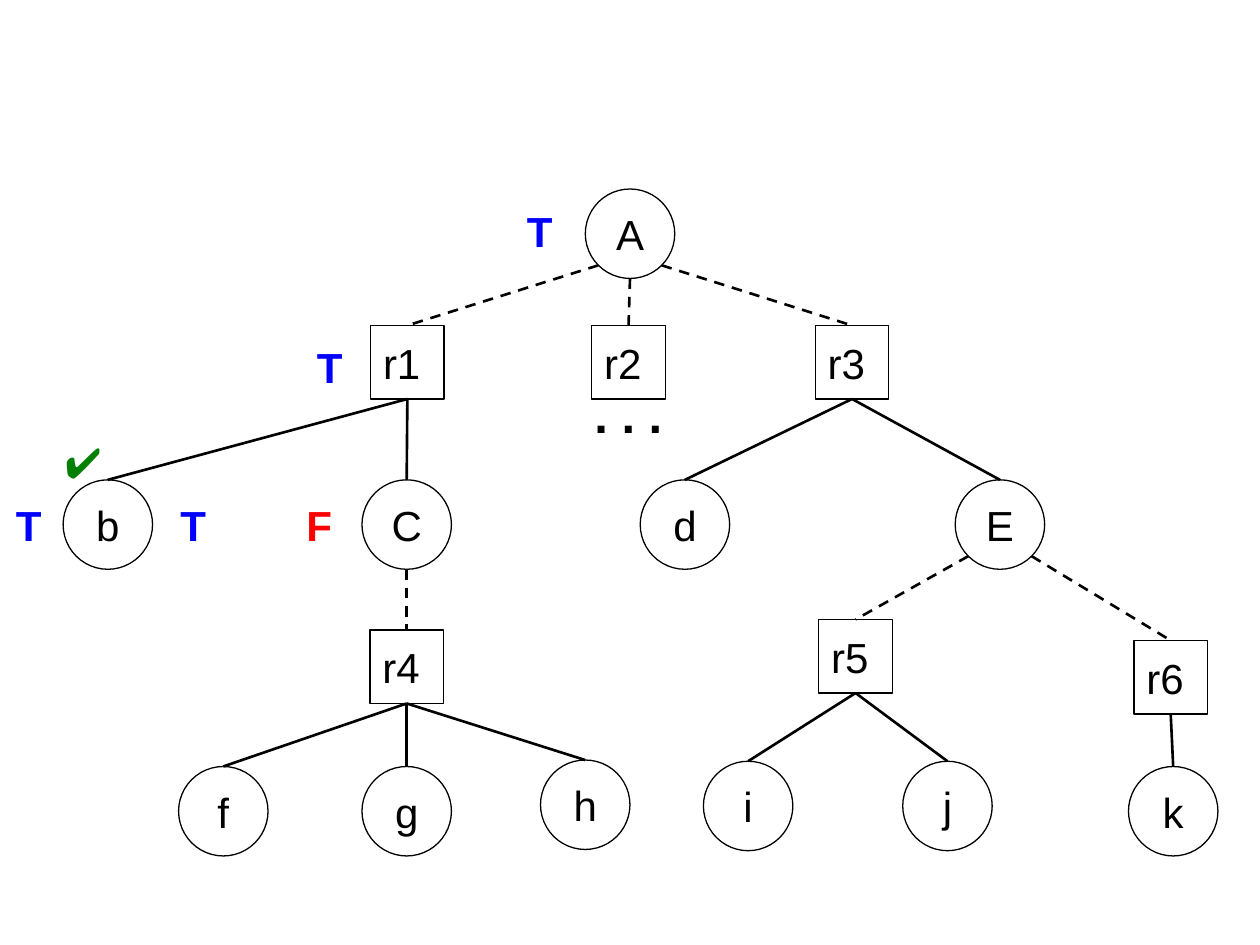
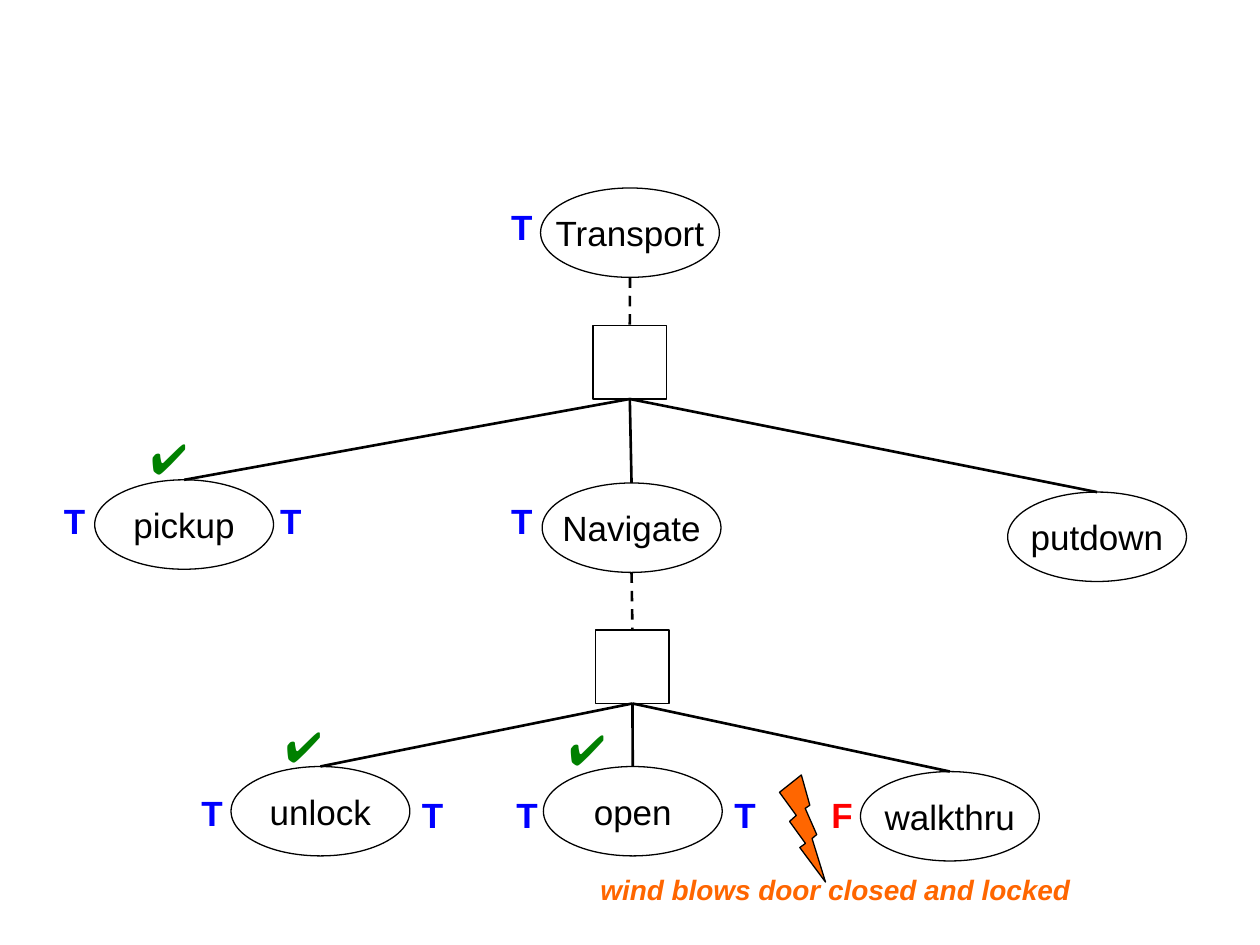
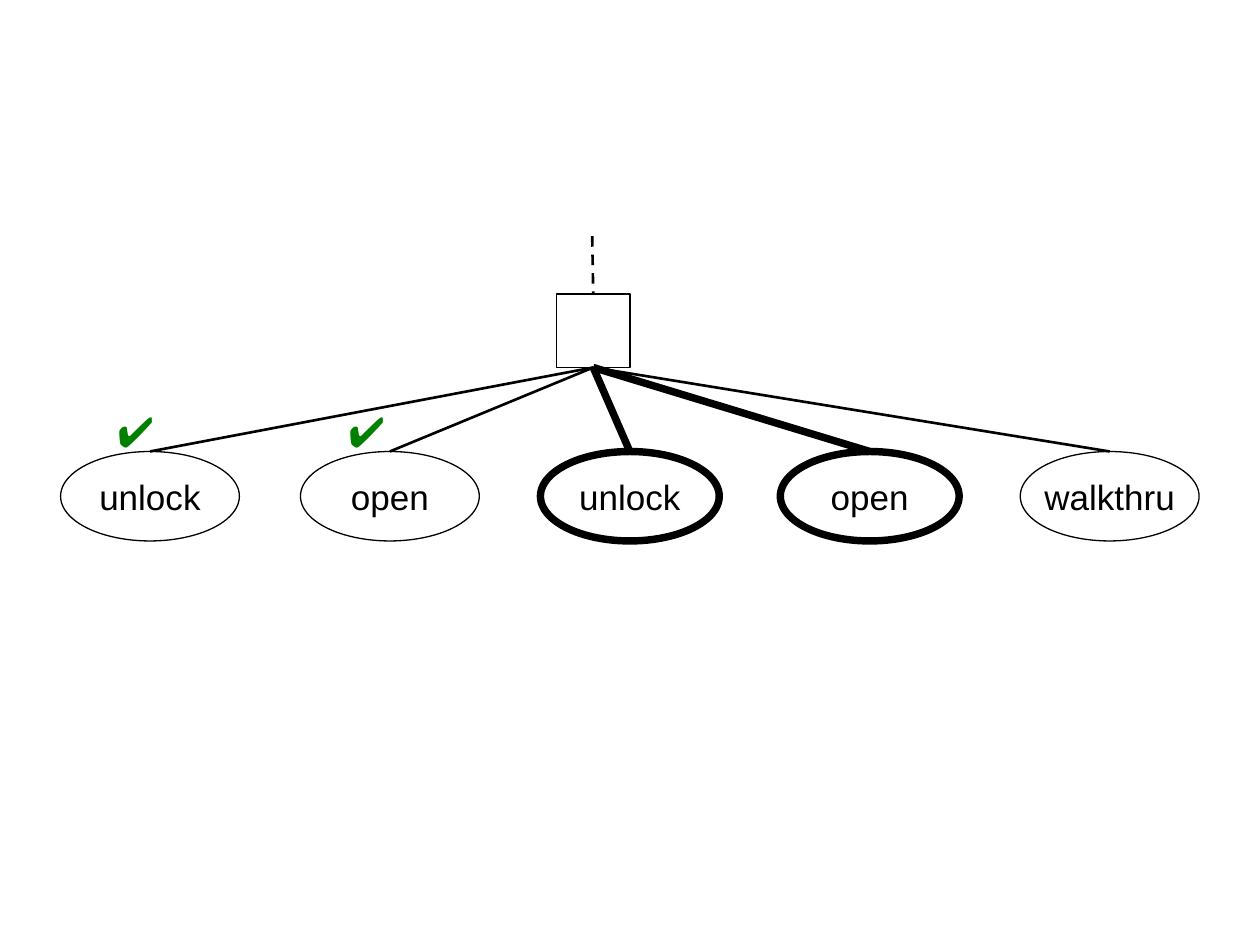
import math
from dataclasses import dataclass

import pptx
import pptx.dml.color
import pptx.enum.dml
import pptx.enum.shapes
import pptx.enum.text
import pptx.oxml
import pptx.shapes.autoshape
import pptx.slide
import pptx.util

Pt = pptx.util.Pt
RGB = pptx.dml.color.RGBColor
SHAPE = pptx.enum.shapes.MSO_SHAPE
ALIGN = pptx.enum.text.PP_ALIGN


# Shared look
@dataclass(frozen=True)
class Theme:
    font: str = "Arial"
    ink: RGB = RGB(0, 0, 0)
    true: RGB = RGB(0, 0, 255)
    false: RGB = RGB(255, 0, 0)
    done: RGB = RGB(0, 128, 0)
    event: RGB = RGB(255, 102, 0)
    large: float = 24
    medium: float = 20
    small: float = 16
    dots: float = 28
    outline: float = 0.75
    link: float = 1.5
    heavy: float = 4.25


THEME = Theme()
MARK_COLORS = {"T": THEME.true, "F": THEME.false, "✔": THEME.done}


@dataclass(frozen=True)
class Kind:
    shape: SHAPE
    width: float
    height: float
    align: ALIGN
    size: float


GOAL = Kind(SHAPE.OVAL, 51.1, 51.1, ALIGN.CENTER, THEME.large)
TASK = Kind(SHAPE.OVAL, 102.2, 51.1, ALIGN.CENTER, THEME.medium)
RULE = Kind(SHAPE.RECTANGLE, 42, 42, ALIGN.LEFT, THEME.large)


@dataclass(frozen=True)
class Node:
    kind: Kind
    center: float
    top: float
    text: str = ""
    heavy: bool = False


@dataclass(frozen=True)
class Mark:
    text: str
    left: float
    top: float


@dataclass(frozen=True)
class Tree:
    nodes: dict[str, Node]
    children: dict[str, list[str]]
    marks: list[Mark]
    mark_size: float = THEME.medium


# Drawing functions
def write(sp: pptx.shapes.autoshape.Shape, text: str, size: float, color: RGB,
          align: ALIGN = ALIGN.LEFT, bold: bool = False, italic: bool = False) -> None:
    p = sp.text_frame.paragraphs[0]
    p.text = text
    p.alignment = align
    p.font.name, p.font.size = THEME.font, Pt(size)
    p.font.bold, p.font.italic = bold, italic
    p.font.color.rgb = color


def add_label(slide: pptx.slide.Slide, text: str, left: float, top: float, width: float,
              height: float, size: float, color: RGB, bold: bool = True,
              italic: bool = False) -> None:
    sp = slide.shapes.add_textbox(Pt(left), Pt(top), Pt(width), Pt(height))
    sp.text_frame.word_wrap = True
    write(sp, text, size, color, bold=bold, italic=italic)


def add_outlined(slide: pptx.slide.Slide, shape: SHAPE, left: float, top: float,
                 width: float, height: float,
                 weight: float = THEME.outline) -> pptx.shapes.autoshape.Shape:
    sp = slide.shapes.add_shape(shape, Pt(left), Pt(top), Pt(width), Pt(height))
    sp.shadow.inherit = False
    sp.fill.background()
    sp.line.color.rgb = THEME.ink
    sp.line.width = Pt(weight)
    return sp


def add_node(slide: pptx.slide.Slide, node: Node) -> pptx.shapes.autoshape.Shape:
    kind = node.kind
    sp = add_outlined(slide, kind.shape, node.center - kind.width / 2, node.top, kind.width,
                      kind.height, THEME.heavy if node.heavy else THEME.outline)
    if node.text:
        tf = sp.text_frame
        tf.word_wrap = False
        tf.vertical_anchor = pptx.enum.text.MSO_ANCHOR.MIDDLE
        write(sp, node.text, kind.size, THEME.ink, kind.align)
    return sp


def add_line(slide: pptx.slide.Slide, x1: float, y1: float, x2: float, y2: float,
             weight: float = THEME.link, dashed: bool = False):
    line = slide.shapes.add_connector(pptx.enum.shapes.MSO_CONNECTOR.STRAIGHT,
                                      Pt(x1), Pt(y1), Pt(x2), Pt(y2))
    line.line.color.rgb = THEME.ink
    line.line.width = Pt(weight)
    if dashed:
        line.line.dash_style = pptx.enum.dml.MSO_LINE.DASH
    line._element.spPr.append(pptx.oxml.parse_xml(
        '<a:effectLst xmlns:a="http://schemas.openxmlformats.org/drawingml/2006/main"/>'))
    return line


def link_start(parent: Node, child: Node) -> tuple[float, float]:
    """Bottom of the parent, or its lower diagonal when a goal's child lies to one side."""
    dx = child.center - parent.center
    kind = parent.kind
    if kind is RULE or abs(dx) < kind.width / 2:
        return parent.center, parent.top + kind.height
    reach = math.sqrt(0.5) / 2
    return (parent.center + math.copysign(kind.width * reach, dx),
            parent.top + kind.height * (0.5 + reach))


def add_tree(slide: pptx.slide.Slide, tree: Tree) -> None:
    shapes = {key: add_node(slide, node) for key, node in tree.nodes.items()}
    for parent_key, child_keys in tree.children.items():
        parent = tree.nodes[parent_key]
        is_rule = parent.kind is RULE
        for key in child_keys:
            child = tree.nodes[key]
            line = add_line(slide, *link_start(parent, child), child.center, child.top,
                            THEME.heavy if child.heavy else THEME.link, dashed=not is_rule)
            if is_rule:
                line.begin_connect(shapes[parent_key], 2)
            line.end_connect(shapes[key], 0)
    for mark in tree.marks:
        tick = mark.text == "✔"
        size = THEME.large if tick else tree.mark_size
        add_label(slide, mark.text, mark.left, mark.top, 36 if tick else 30, size * 1.5,
                  size, MARK_COLORS[mark.text], bold=not tick)


# Goal tree with alternative rules
RULE_TREE = Tree(
    nodes={
        "A": Node(GOAL, 360, 108, "A"),
        "r1": Node(RULE, 232.8, 186, "r1"),
        "r2": Node(RULE, 359.2, 186, "r2"),
        "r3": Node(RULE, 486.9, 186, "r3"),
        "b": Node(GOAL, 61.6, 274.2, "b"),
        "C": Node(GOAL, 232.4, 274.2, "C"),
        "d": Node(GOAL, 391.4, 274.2, "d"),
        "E": Node(GOAL, 571.4, 274.2, "E"),
        "r4": Node(RULE, 232.4, 360, "r4"),
        "r5": Node(RULE, 488.9, 354, "r5"),
        "r6": Node(RULE, 669, 366, "r6"),
        "f": Node(GOAL, 127.6, 438, "f"),
        "g": Node(GOAL, 232.4, 438, "g"),
        "h": Node(GOAL, 334.4, 434.3, "h"),
        "i": Node(GOAL, 427.5, 435, "i"),
        "j": Node(GOAL, 541.4, 435, "j"),
        "k": Node(GOAL, 670.4, 438, "k"),
    },
    children={"A": ["r1", "r2", "r3"], "r1": ["b", "C"], "r3": ["d", "E"], "C": ["r4"],
              "E": ["r5", "r6"], "r4": ["f", "g", "h"], "r5": ["i", "j"], "r6": ["k"]},
    marks=[Mark("T", 294, 114), Mark("T", 174, 191.5), Mark("T", 2, 282), Mark("T", 96, 282),
           Mark("F", 168, 282), Mark("✔", 30, 246)],
    mark_size=THEME.large,
)

# Transport task interrupted by an event
TRANSPORT_TREE = Tree(
    nodes={
        "transport": Node(TASK, 360, 107.4, "Transport"),
        "transport rule": Node(RULE, 359.9, 186),
        "pickup": Node(TASK, 105.2, 274.2, "pickup"),
        "navigate": Node(TASK, 360.9, 276, "Navigate"),
        "putdown": Node(TASK, 626.9, 281.2, "putdown"),
        "navigate rule": Node(RULE, 361.4, 360),
        "unlock": Node(TASK, 183.1, 438, "unlock"),
        "open": Node(TASK, 361.6, 438, "open"),
        "walkthru": Node(TASK, 542.8, 440.9, "walkthru"),
    },
    children={"transport": ["transport rule"],
              "transport rule": ["pickup", "navigate", "putdown"],
              "navigate": ["navigate rule"],
              "navigate rule": ["unlock", "open", "walkthru"]},
    marks=[Mark("T", 285, 114), Mark("T", 285, 282), Mark("T", 153, 282),
           Mark("T", 29.5, 282), Mark("T", 108, 448.8), Mark("T", 234, 450),
           Mark("T", 288, 450), Mark("T", 412.6, 450), Mark("F", 468, 450),
           Mark("✔", 79, 243.4), Mark("✔", 156, 408.4), Mark("✔", 318, 410)],
)

# Repaired plan: the repeated steps are heavy
STEPS = [("unlock", False), ("open", False), ("unlock", True), ("open", True),
         ("walkthru", False)]
STEP_NODES = {f"step {i}": Node(TASK, 85.7 + 137.1 * i, 258, text, heavy)
              for i, (text, heavy) in enumerate(STEPS)}
REPAIR_TREE = Tree(
    nodes={"rule": Node(RULE, 339, 168), **STEP_NODES},
    children={"rule": list(STEP_NODES)},
    marks=[Mark("✔", 60, 228), Mark("✔", 192, 228)],
)


def main() -> None:
    prs = pptx.Presentation()
    prs.slide_width, prs.slide_height = Pt(720), Pt(540)
    slides = []
    for tree in (RULE_TREE, TRANSPORT_TREE, REPAIR_TREE):
        slide = prs.slides.add_slide(prs.slide_layouts[6])
        add_tree(slide, tree)
        slides.append(slide)
    rules, transport, repair = slides

    # Omitted branch under r2
    add_label(rules, ". . .", 332.6, 216, 54, 41, THEME.dots, THEME.ink)

    # Wind event
    bolt = add_outlined(transport, SHAPE.LIGHTNING_BOLT, 444, 443, 30, 60)
    bolt.fill.solid()
    bolt.fill.fore_color.rgb = THEME.event
    bolt.rotation = 4.2
    add_label(transport, "wind blows door closed and locked", 336, 495, 300, 26.6,
              THEME.small, THEME.event, italic=True)

    # Link from the goal above the repaired plan
    line = add_line(repair, 338.4, 135, 339, 168, dashed=True)
    line.end_connect(repair.shapes[0], 0)

    prs.save("out.pptx")


if __name__ == "__main__":
    main()
